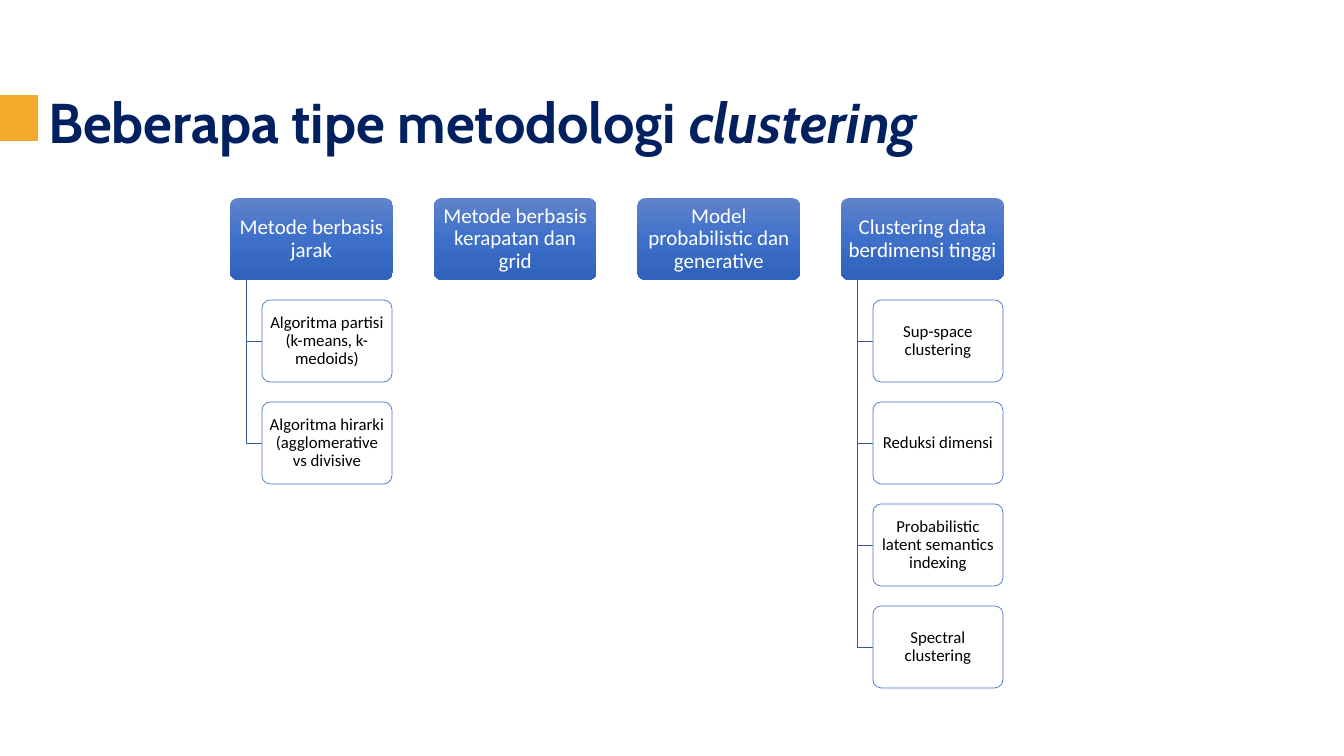
"""Build a slide that charts the families of clustering methods."""
from dataclasses import dataclass

from lxml.etree import SubElement
from pptx import Presentation
from pptx.dml.color import RGBColor
from pptx.enum.shapes import MSO_SHAPE as Preset
from pptx.enum.text import MSO_ANCHOR as Anchor, PP_ALIGN as Align
from pptx.oxml.ns import qn
from pptx.util import Emu, Pt

TITLE = [("Beberapa tipe metodologi ", False), ("clustering", True)]
FAMILIES = [
    ("Metode berbasis jarak", [
        "Algoritma partisi (k-means, k-medoids)",
        "Algoritma hirarki (agglomerative vs divisive",
    ]),
    ("Metode berbasis kerapatan dan grid", []),
    ("Model probabilistic dan generative", []),
    ("Clustering data berdimensi tinggi", [
        "Sup-space clustering",
        "Reduksi dimensi",
        "Probabilistic latent semantics indexing",
        "Spectral clustering",
    ]),
]


@dataclass(frozen=True)
class Theme:
    title_font: str = "Cabin"
    body_font: str = "Calibri"
    title_size: int = 40
    head_size: int = 15
    card_size: int = 12
    line_width: float = 0.5
    navy: str = "002060"
    accent: str = "F5AA2D"
    white: str = "FFFFFF"
    black: str = "000000"
    outline: str = "4472C4"
    branch: str = "365B9D"
    head_stops: tuple = ((0, "6183CB"), (50, "3E70CA"), (100, "3062BB"))
    card_opacity: int = 90


THEME = Theme()
PX = 914400 / 100.8
SLIDE = (1344, 756)
TITLE_AREA = (38, 75, 1289, 86)
MARKER = (0, 95, 38, 46)
FIRST_LEFT, LAST_LEFT = 230, 841
TOP, ROW_PITCH = 198, 102
HEAD_WIDTH, CARD_WIDTH, BOX_HEIGHT = 163, 130, 82
STEM_INDENT, CARD_INDENT = 16, 32


def px(length):
    return Emu(round(length * PX))


def color(code):
    return RGBColor.from_string(code)


def add_span(para, text, font, size, code, bold=False, italic=False):
    span = para.add_run()
    span.text = text
    span.font.name, span.font.size = font, Pt(size)
    span.font.color.rgb = color(code)
    span.font.bold, span.font.italic = bold, italic


def set_frame(frame, anchor, align, side, edge):
    frame.word_wrap = True
    frame.vertical_anchor = anchor
    frame.margin_left = frame.margin_right = px(side)
    frame.margin_top = frame.margin_bottom = px(edge)
    para = frame.paragraphs[0]
    para.alignment = align
    para.line_spacing = 0.9
    return para


def add_box(page, area, preset=Preset.RECTANGLE):
    box = page.shapes.add_shape(preset, *map(px, area))
    box.shadow.inherit = False
    box.line.fill.background()
    return box


def add_label_box(page, area, text, size, code):
    box = add_box(page, area, Preset.ROUNDED_RECTANGLE)
    box.adjustments[0] = 0.1
    para = set_frame(box.text_frame, Anchor.MIDDLE, Align.CENTER, 3, 2)
    add_span(para, text, THEME.body_font, size, code)
    return box


def add_head(page, left, text):
    area = (left, TOP, HEAD_WIDTH, BOX_HEIGHT)
    box = add_label_box(page, area, text, THEME.head_size, THEME.white)
    box.fill.gradient()
    box.fill.gradient_angle = 270
    stops = box._element.spPr.find(qn("a:gradFill")).find(qn("a:gsLst"))
    for stop in list(stops):
        stops.remove(stop)
    for percent, code in THEME.head_stops:
        stop = SubElement(stops, qn("a:gs"), pos=str(percent * 1000))
        SubElement(stop, qn("a:srgbClr"), val=code)


def add_card(page, left, top, text):
    area = (left, top, CARD_WIDTH, BOX_HEIGHT)
    box = add_label_box(page, area, text, THEME.card_size, THEME.black)
    box.fill.solid()
    box.fill.fore_color.rgb = color(THEME.white)
    tint = box._element.spPr.find(qn("a:solidFill"))[0]
    SubElement(tint, qn("a:alpha"), val=str(THEME.card_opacity * 1000))
    box.line.color.rgb = color(THEME.outline)
    box.line.width = Pt(THEME.line_width)


def add_branch(page, stem, card_left, middle):
    outline = page.shapes.build_freeform(px(stem), px(TOP + BOX_HEIGHT))
    corners = [(px(stem), px(middle)), (px(card_left), px(middle))]
    outline.add_line_segments(corners, close=False)
    branch = outline.convert_to_shape()
    branch.shadow.inherit = False
    branch.fill.background()
    branch.line.color.rgb = color(THEME.branch)
    branch.line.width = Pt(THEME.line_width)


def add_title(page):
    box = page.shapes.add_textbox(*map(px, TITLE_AREA))
    para = set_frame(box.text_frame, Anchor.BOTTOM, Align.LEFT, 10, 5)
    for text, italic in TITLE:
        add_span(para, text, THEME.title_font, THEME.title_size, THEME.navy, True, italic)
    marker = add_box(page, MARKER)
    marker.fill.solid()
    marker.fill.fore_color.rgb = color(THEME.accent)


def add_family(page, left, head, methods):
    add_head(page, left, head)
    card_left = left + CARD_INDENT
    for row, method in enumerate(methods, start=1):
        top = TOP + row * ROW_PITCH
        add_branch(page, left + STEM_INDENT, card_left, top + BOX_HEIGHT / 2)
        add_card(page, card_left, top, method)


def main():
    deck = Presentation()
    deck.slide_width, deck.slide_height = map(px, SLIDE)
    page = deck.slides.add_slide(deck.slide_layouts[6])
    add_title(page)
    pitch = (LAST_LEFT - FIRST_LEFT) / (len(FAMILIES) - 1)
    for column, (head, methods) in enumerate(FAMILIES):
        add_family(page, FIRST_LEFT + column * pitch, head, methods)
    deck.save("out.pptx")


if __name__ == "__main__":
    main()
